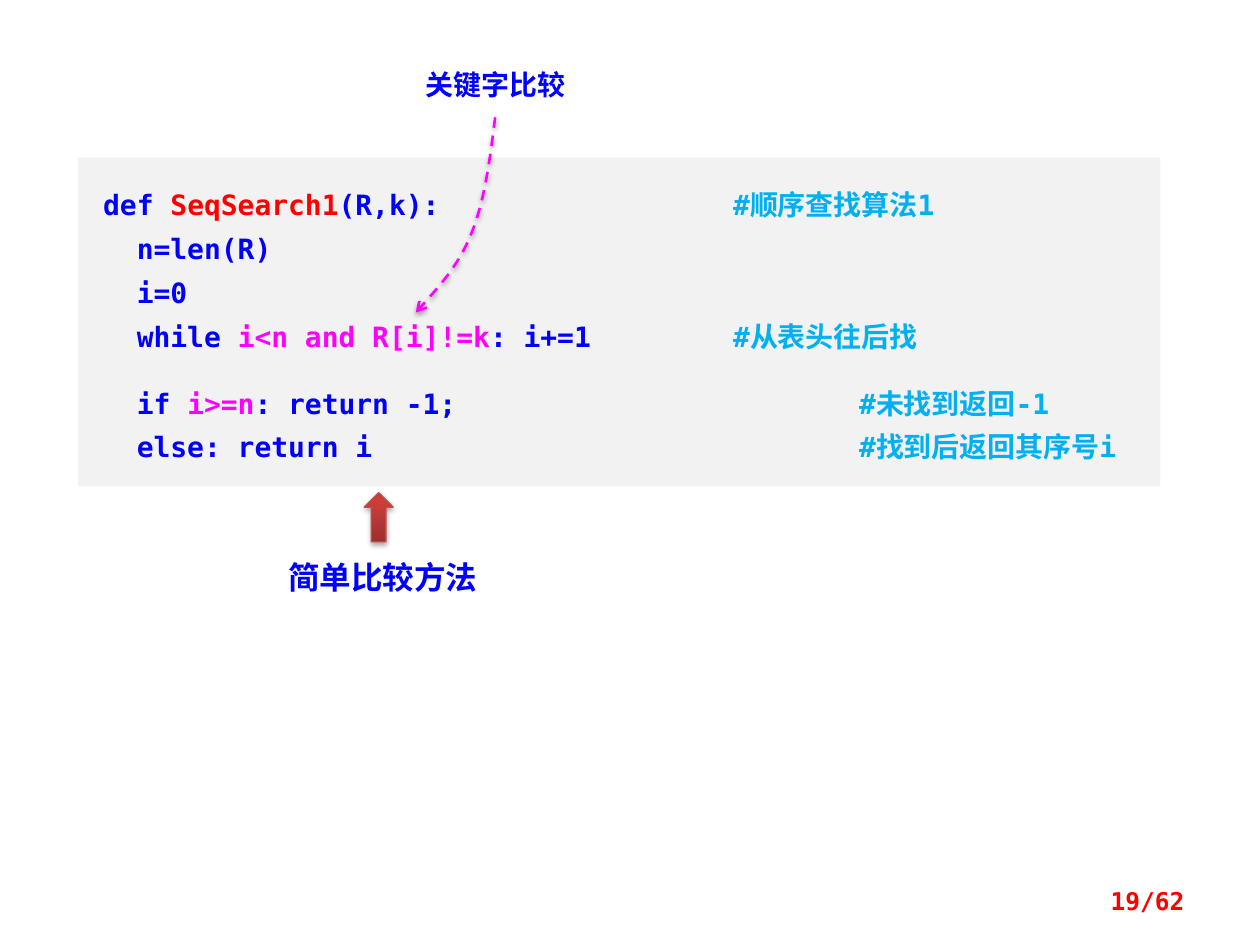
from copy import deepcopy
from dataclasses import dataclass
from lxml.etree import SubElement
from pptx import Presentation
from pptx.dml.color import RGBColor
from pptx.enum.dml import MSO_LINE
from pptx.enum.shapes import MSO_SHAPE
from pptx.enum.text import MSO_ANCHOR, PP_ALIGN
from pptx.oxml.ns import qn
from pptx.util import Pt


@dataclass(frozen=True)
class Theme:
    """Colours, fonts and type sizes of the slide."""
    blue: str = "0000FF"
    red: str = "FF0000"
    pink: str = "FF00FF"
    sky: str = "00B0F0"
    panel: str = "F2F2F2"
    edge: str = "BF4C48"
    ramp: tuple = ((0, "9C2F2D"), (0.8, "CB3E3A"), (1, "CE3B37"))
    mono: str = "DejaVu Sans Mono"
    sans: str = "Noto Sans CJK SC"
    code: int = 16
    title: int = 18
    page: int = 14


T = Theme()

LINES = [
    ([("def ", T.blue), ("SeqSearch1", T.red), ("(R,k):", T.blue)], "#顺序查找算法1", 360, Pt(25)),
    ([("  n=len(R)", T.blue)], "", 0, Pt(25)),
    ([("  i=0", T.blue)], "", 0, Pt(25)),
    ([("  while ", T.blue), ("i<n and R[i]!=k", T.pink), (": i+=1", T.blue)],
     "#从表头往后找", 360, Pt(25)),
    ([("  if ", T.blue), ("i>=n", T.pink), (": return -1;", T.blue)], "#未找到返回-1", 432, 2.0),
    ([("  else: return i", T.blue)], "#找到后返回其序号i", 432, Pt(25)),
]


def rgb(code):
    """Turn a hex code into a colour."""
    return RGBColor.from_string(code)


def write(para, text, size=T.code, color=T.blue, font=T.mono):
    """Add a bold run of text to a paragraph."""
    run = para.add_run()
    run.text = text
    run.font.size, run.font.bold, run.font.name = Pt(size), True, font
    run.font.color.rgb = rgb(color)
    SubElement(run.font._element, qn("a:ea"), typeface=T.sans)


def label(shapes, box, text, align=PP_ALIGN.LEFT, anchor=MSO_ANCHOR.TOP, **style):
    """Place one line of text in a box."""
    frame = shapes.add_textbox(*map(Pt, box)).text_frame
    frame.word_wrap, frame.vertical_anchor = True, anchor
    frame.paragraphs[0].alignment = align
    write(frame.paragraphs[0], text, **style)


def shade(shape, alpha, dist):
    """Give a shape a soft black shadow straight below."""
    shape.shadow.inherit = False
    effects = shape._element.spPr.find(qn("a:effectLst"))
    outer = SubElement(effects, qn("a:outerShdw"), blurRad=str(Pt(3.1)),
                       dist=str(Pt(dist)), dir="5400000", rotWithShape="0")
    black = SubElement(outer, qn("a:srgbClr"), val="000000")
    SubElement(black, qn("a:alpha"), val=str(alpha * 1000))


def listing(shapes, box):
    """Draw the code panel with its aligned comments."""
    panel = shapes.add_shape(MSO_SHAPE.RECTANGLE, *map(Pt, box))
    panel.shadow.inherit = False
    panel.fill.solid()
    panel.fill.fore_color.rgb = rgb(T.panel)
    panel.line.fill.background()
    frame = panel.text_frame
    frame.word_wrap, frame.vertical_anchor = True, MSO_ANCHOR.TOP
    frame.margin_left, frame.margin_right = Pt(14.4), Pt(7.2)
    frame.margin_top = frame.margin_bottom = Pt(11.5)
    for row, (parts, note, stop, space) in enumerate(LINES):
        para = frame.add_paragraph() if row else frame.paragraphs[0]
        para.alignment, para.line_spacing = PP_ALIGN.LEFT, space
        if note:
            tabs = SubElement(para._p.get_or_add_pPr(), qn("a:tabLst"))
            SubElement(tabs, qn("a:tab"), pos=str(Pt(stop)), algn="l")
            parts = parts + [("\t" + note, T.sky)]
        for text, color in parts:
            write(para, text, color=color)


def method(shapes, box):
    """Draw the red arrow and the name of the method below it."""
    left, top, wide, high = box
    label(shapes, (left, top + high - 28.8, wide, 28.8), "简单比较方法", size=T.title)
    arrow = shapes.add_shape(MSO_SHAPE.UP_ARROW, Pt(left + 50.4), Pt(top), Pt(16.6), Pt(28.1))
    arrow.fill.gradient()
    arrow.fill.gradient_angle = 90
    stops = arrow._element.spPr.find(".//" + qn("a:gsLst"))
    stops.append(deepcopy(stops[0]))
    for stop, (place, color) in zip(arrow.fill.gradient_stops, T.ramp):
        stop.position, stop.color.rgb = place, rgb(color)
    arrow.line.color.rgb, arrow.line.width = rgb(T.edge), Pt(0.75)
    shade(arrow, 35, 1.8)


def pointer(shapes, box):
    """Draw the comparison label and its curved dashed arrow."""
    left, top, wide, high = box
    label(shapes, (left, top, wide, 26.6), "关键字比较", font=T.sans)
    knots = [(46.8, 31.7), (43.9, 54.7), (41, 77.8), (33.8, 96.5),
             (26.6, 115.2), (13.7, 129.6), (1.4, high)]
    start, *rest = [(Pt(left + x), Pt(top + y)) for x, y in knots]
    build = shapes.build_freeform(*start)
    build.add_line_segments(rest, close=False)
    curve = build.convert_to_shape()
    track = curve._element.spPr.find(".//" + qn("a:path"))
    lines = track.findall(qn("a:lnTo"))
    for first in range(0, len(lines), 3):
        bend = SubElement(track, qn("a:cubicBezTo"))
        for line in lines[first:first + 3]:
            bend.append(line[0])
            track.remove(line)
    curve.fill.background()
    curve.line.color.rgb, curve.line.width = rgb(T.pink), Pt(1.5)
    curve.line.dash_style = MSO_LINE.DASH
    SubElement(curve.line._get_or_add_ln(), qn("a:tailEnd"), type="arrow")
    shade(curve, 38, 1.6)


def main():
    """Build the slide and save it."""
    deck = Presentation()
    deck.slide_width, deck.slide_height = Pt(720), Pt(540)
    shapes = deck.slides.add_slide(deck.slide_layouts[6]).shapes
    listing(shapes, (44.6, 90, 618.5, 187.9))
    method(shapes.add_group_shape().shapes, (157.7, 281.5, 140.4, 62.7))
    pointer(shapes.add_group_shape().shapes, (236.2, 35.3, 112.3, 143.3))
    label(shapes, (516.2, 500.4, 167.8, 28.8), "19/62", align=PP_ALIGN.RIGHT,
          anchor=MSO_ANCHOR.MIDDLE, size=T.page, color=T.red)
    deck.save("out.pptx")


if __name__ == "__main__":
    main()
